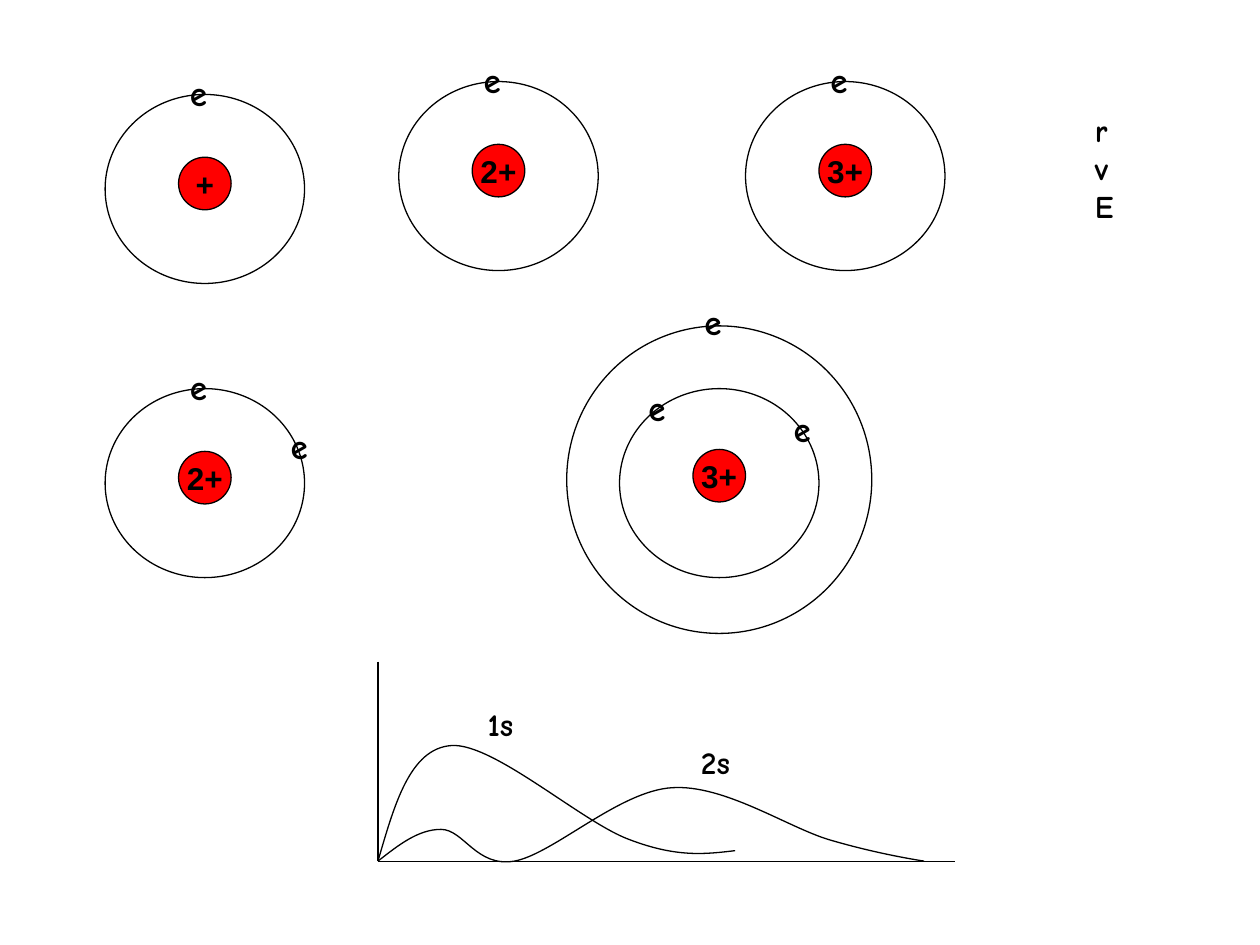
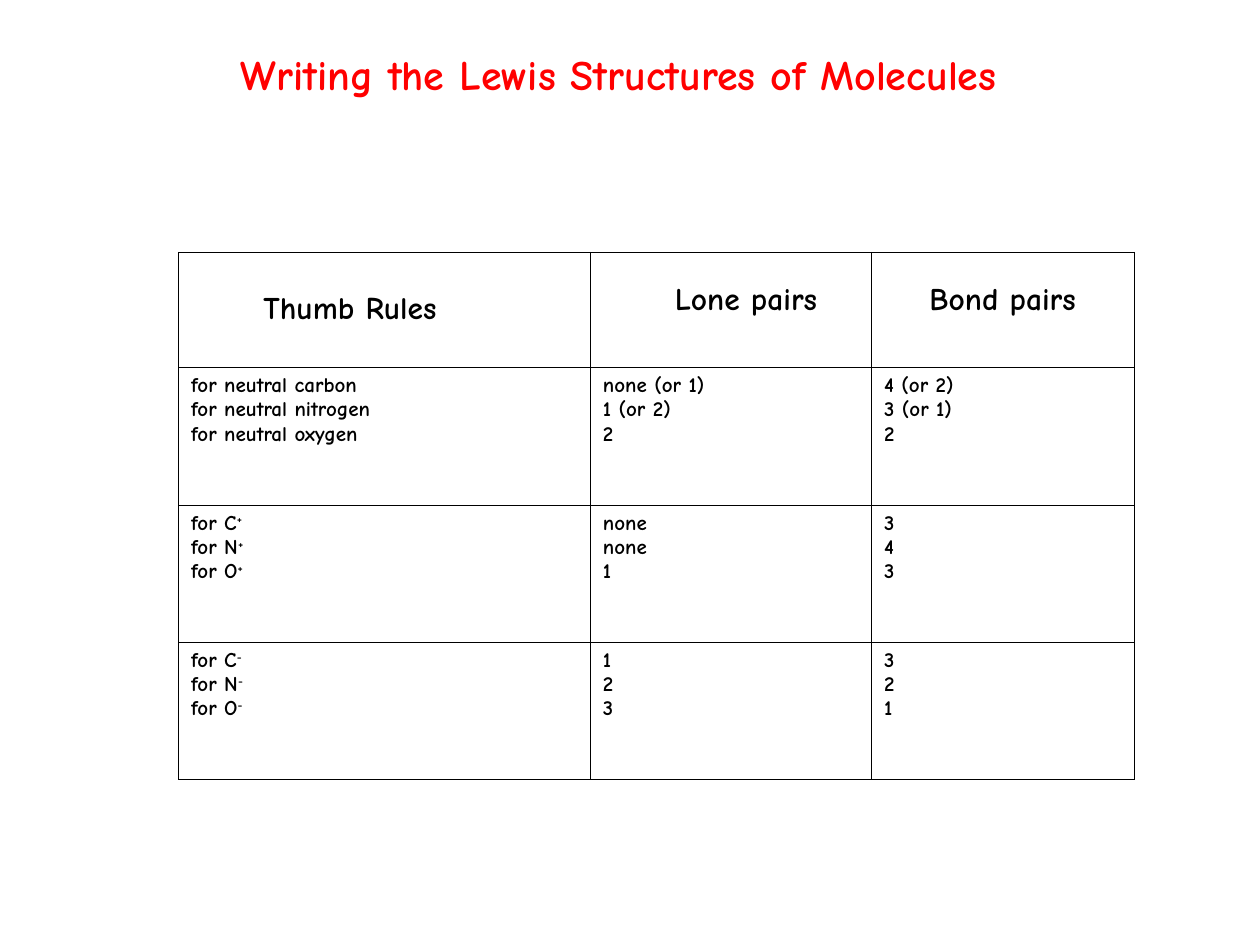
"""Build two chemistry slides: atom models with orbital curves, and Lewis structure rules."""
from copy import deepcopy
from lxml.etree import SubElement
from pptx import Presentation
from pptx.dml.color import RGBColor
from pptx.enum.shapes import MSO_CONNECTOR, MSO_SHAPE
from pptx.enum.text import MSO_ANCHOR, MSO_AUTO_SIZE, PP_ALIGN
from pptx.oxml.ns import qn
from pptx.util import Cm, Pt

COLORS = {"ink": "000000", "accent": "FF0000"}
BODY_FONT, NUCLEUS_FONT = "Comic Neue", "Arial"

SHELL, OUTER_SHELL = (4.02, 3.81), (6.15, 6.2)
NUCLEUS = (1.06, 1.06)
ELECTRON = (0.84, 1.12)
OUTER_RISE = 0.07
TOP_ELECTRON = (-0.13, -1.93)

ATOMS = [
    {"charge": "+", "center": (4.13, 3.81), "electrons": [TOP_ELECTRON]},
    {"charge": "2+", "center": (10.05, 3.55), "electrons": [TOP_ELECTRON]},
    {"charge": "3+", "center": (17.04, 3.55), "electrons": [TOP_ELECTRON]},
    {"charge": "2+", "center": (4.13, 9.74), "electrons": [TOP_ELECTRON, (1.9, -0.74)]},
    {"charge": "3+", "center": (14.5, 9.74), "nucleus_rise": 0.15,
     "outer_electron": (-0.13, -3.25), "electrons": [(-1.26, -1.51), (1.67, -1.08)]},
]

ORIGIN, AXIS_TOP, AXIS_RIGHT = (7.62, 17.36), (7.62, 13.34), (19.26, 17.36)
ORBITAL_CURVES = {
    "1s": [ORIGIN, (7.95, 16.23), (8.26, 15.09), (9.1, 15.03),
           (9.95, 14.97), (11.75, 16.59), (12.7, 16.93),
           (13.65, 17.29), (14.22, 17.22), (14.82, 17.15)],
    "2s": [ORIGIN, (8.03, 17.04), (8.43, 16.72), (8.89, 16.72),
           (9.35, 16.72), (9.6, 17.49), (10.37, 17.36),
           (11.15, 17.22), (12.49, 15.94), (13.55, 15.88),
           (14.6, 15.81), (15.88, 16.68), (16.72, 16.93),
           (17.57, 17.18), (18.31, 17.31), (18.63, 17.36)],
}

SLIDE_LABELS = [
    (["r", "v", "E"], (21.82, 2.12, 0.89, 2.54)),
    (["1s"], (9.58, 14.09, 1.02, 1.02)),
    (["2s"], (13.88, 14.86, 1.09, 1.02)),
]

TITLE = "Writing the Lewis Structures of Molecules"
RULES_LABEL = "Thumb Rules"
HEADERS = ["", "Lone pairs", "Bond pairs"]
HEADER_TOP = 0.6
HEADER_LEFT = [0.25, 0.86, 0.25]
RULES = [
    [["for neutral carbon", "for neutral nitrogen", "for neutral oxygen"],
     ["none (or 1)", "1 (or 2)", "2"], ["4 (or 2)", "3 (or 1)", "2"]],
    [["for C^+", "for N^+", "for O^+"], ["none", "none", "1"], ["3", "4", "3"]],
    [["for C^-", "for N^-", "for O^-"], ["1", "2", "3"], ["3", "2", "1"]],
]
COLUMN_WIDTHS = [8.3, 5.67, 5.29]
ROW_HEIGHTS = [2.33, 2.77, 2.77, 2.76]


def cm(*values):
    return [Cm(value) for value in values]


def color(name):
    return RGBColor.from_string(COLORS[name])


def centered(center, size):
    return cm(center[0] - size[0] / 2, center[1] - size[1] / 2, *size)


def outline(shape):
    shape.line.color.rgb = color("ink")
    shape.line.width = Pt(0.75)


def add_span(para, text, size, font=BODY_FONT, ink="ink"):
    span = para.add_run()
    span.text = text
    span.font.name, span.font.size, span.font.bold = font, Pt(size), True
    span.font.color.rgb = color(ink)
    return span


def add_label(shapes, lines, bounds, size=18, ink="ink", anchor=MSO_ANCHOR.TOP):
    box = shapes.add_textbox(*bounds)
    frame = box.text_frame
    frame.word_wrap = False
    frame.auto_size = MSO_AUTO_SIZE.SHAPE_TO_FIT_TEXT
    frame.vertical_anchor = anchor
    for index, line in enumerate(lines):
        para = frame.add_paragraph() if index else frame.paragraphs[0]
        add_span(para, line, size, ink=ink)


def add_circle(shapes, center, size, fill=None):
    circle = shapes.add_shape(MSO_SHAPE.OVAL, *centered(center, size))
    circle.shadow.inherit = False
    outline(circle)
    if fill:
        circle.fill.solid()
        circle.fill.fore_color.rgb = color(fill)
    else:
        circle.fill.background()
    return circle


def add_electron(shapes, center, offset):
    spot = (center[0] + offset[0], center[1] + offset[1])
    add_label(shapes, ["e"], centered(spot, ELECTRON), 20)


def add_atom(page, charge, center, electrons, nucleus_rise=0.11, outer_electron=None):
    if outer_electron:
        add_electron(page.shapes, center, outer_electron)
    shapes = page.shapes.add_group_shape().shapes
    x, y = center
    nucleus = add_circle(shapes, (x, y - nucleus_rise), NUCLEUS, "accent")
    frame = nucleus.text_frame
    frame.word_wrap = False
    frame.vertical_anchor = MSO_ANCHOR.MIDDLE
    para = frame.paragraphs[0]
    para.alignment = PP_ALIGN.CENTER
    add_span(para, charge, 18, NUCLEUS_FONT)
    if outer_electron:
        add_circle(shapes, (x, y - OUTER_RISE), OUTER_SHELL)
    add_circle(shapes, center, SHELL)
    for offset in electrons:
        add_electron(shapes, center, offset)


def add_axis(page, start, end):
    axis = page.shapes.add_connector(MSO_CONNECTOR.STRAIGHT, *cm(*start, *end))
    outline(axis)
    SubElement(axis._element.spPr, qn("a:effectLst"))


def add_curve(page, knots):
    builder = page.shapes.build_freeform(*cm(*knots[0]))
    builder.add_line_segments([cm(*knot) for knot in knots[1:]], close=False)
    curve = builder.convert_to_shape()
    curve.shadow.inherit = False
    curve.fill.background()
    outline(curve)
    segments = list(curve._element.iter(qn("a:lnTo")))
    outline_path = segments[0].getparent()
    for first in range(0, len(segments), 3):
        bezier = SubElement(outline_path, qn("a:cubicBezTo"))
        for segment in segments[first:first + 3]:
            bezier.append(segment[0])
            outline_path.remove(segment)


def style_cell(cell):
    properties = cell._tc.get_or_add_tcPr()
    for side in ("lnL", "lnR", "lnT", "lnB"):
        border = SubElement(properties, qn(f"a:{side}"), w=str(Pt(0.34)))
        fill = SubElement(border, qn("a:solidFill"))
        SubElement(fill, qn("a:srgbClr"), val=COLORS["ink"])
    cell.fill.background()


def write_rule(cell, lines, size=12):
    para = cell.text_frame.paragraphs[0]
    for index, line in enumerate(lines):
        if index:
            para.add_line_break()
            para._p[-1].append(deepcopy(span._r.get_or_add_rPr()))
        base, _, charge = line.partition("^")
        span = add_span(para, base, size)
        if charge:
            span = add_span(para, charge, size)
            span._r.get_or_add_rPr().set("baseline", "30000")


def add_rules_table(page):
    bounds = cm(3.6, 5.08, sum(COLUMN_WIDTHS), sum(ROW_HEIGHTS))
    table = page.shapes.add_table(len(ROW_HEIGHTS), len(COLUMN_WIDTHS), *bounds).table
    table.first_row = table.horz_banding = False
    for column, width in zip(table.columns, COLUMN_WIDTHS):
        column.width = Cm(width)
    for row, height in zip(table.rows, ROW_HEIGHTS):
        row.height = Cm(height)
    for cell in table.iter_cells():
        style_cell(cell)
    for index, header in enumerate(HEADERS):
        if header:
            cell = table.cell(0, index)
            cell.margin_top, cell.margin_left = cm(HEADER_TOP, HEADER_LEFT[index])
            write_rule(cell, [header], 18)
            cell.text_frame.paragraphs[0].alignment = PP_ALIGN.CENTER
    for row_index, rule in enumerate(RULES, start=1):
        for column_index, lines in enumerate(rule):
            write_rule(table.cell(row_index, column_index), lines)


def build_atoms_page(page):
    for atom in ATOMS:
        add_atom(page, **atom)
    add_axis(page, AXIS_TOP, ORIGIN)
    add_axis(page, ORIGIN, AXIS_RIGHT)
    for knots in ORBITAL_CURVES.values():
        add_curve(page, knots)
    for lines, bounds in SLIDE_LABELS:
        add_label(page.shapes, lines, cm(*bounds))


def build_lewis_page(page):
    add_rules_table(page)
    add_label(page.shapes, [TITLE], cm(4.6, 0.85, 16.05, 1.27), 24, "accent", MSO_ANCHOR.MIDDLE)
    add_label(page.shapes, [RULES_LABEL], cm(5.06, 5.67, 4.22, 1.02), anchor=MSO_ANCHOR.MIDDLE)


def main():
    deck = Presentation()
    deck.slide_width, deck.slide_height = cm(25.4, 19.05)
    for build in (build_atoms_page, build_lewis_page):
        build(deck.slides.add_slide(deck.slide_layouts[6]))
    deck.save("out.pptx")


if __name__ == "__main__":
    main()
